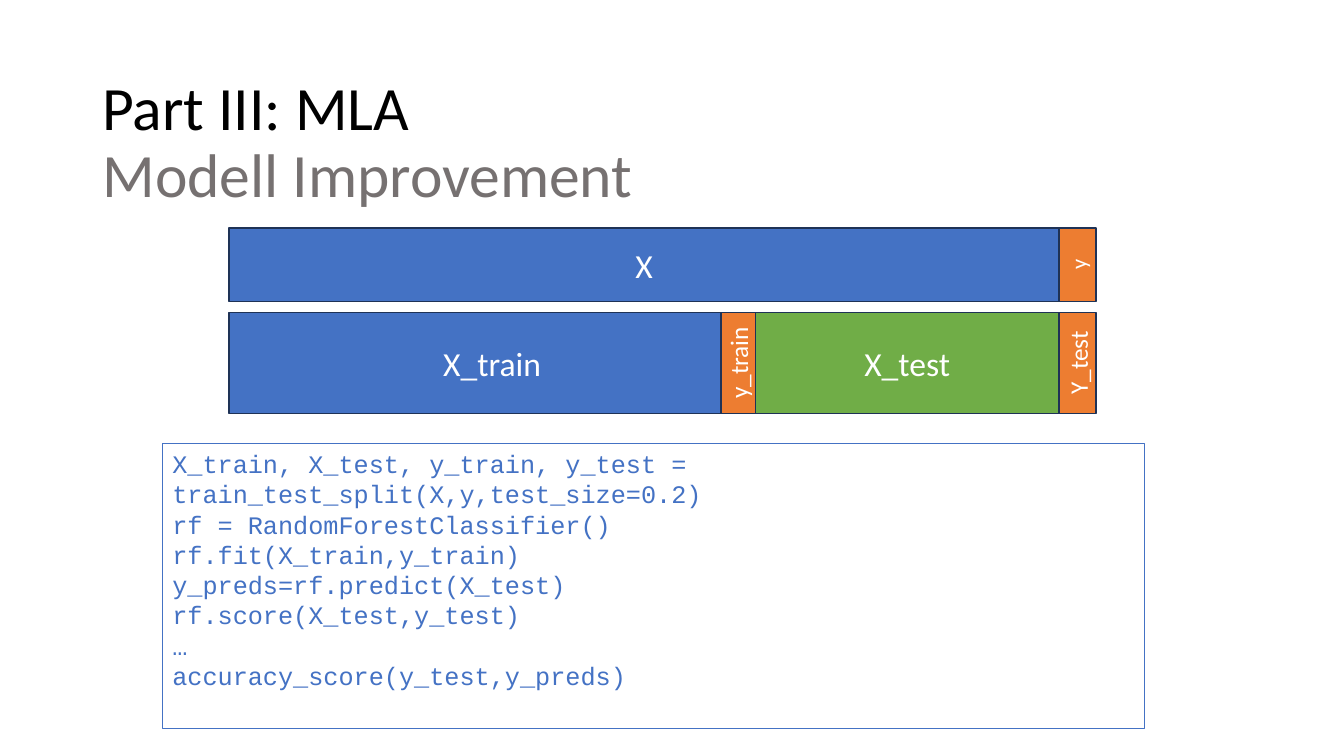
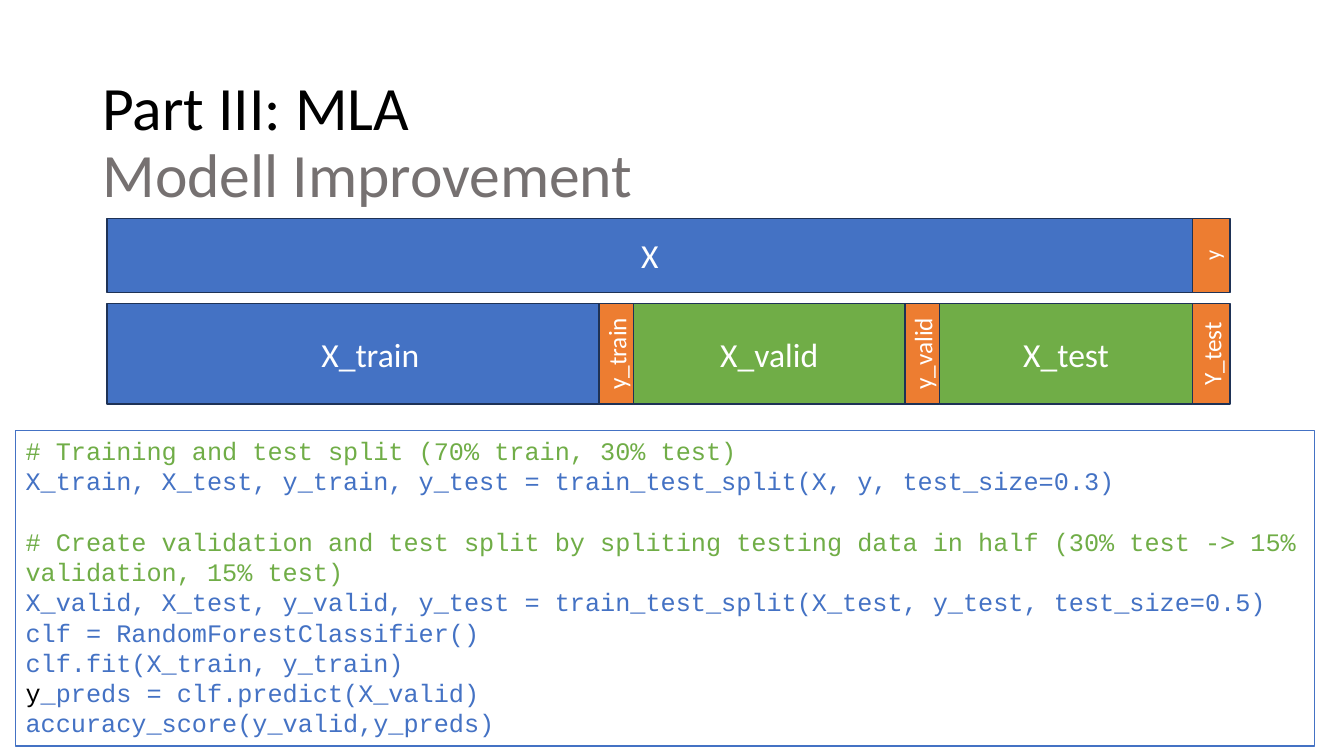
"""Build two slides on splitting data and scoring a classifier."""
from dataclasses import dataclass

from pptx import Presentation
from pptx.dml.color import RGBColor
from pptx.enum.shapes import MSO_SHAPE as Preset
from pptx.enum.text import MSO_ANCHOR as Anchor, MSO_AUTO_SIZE as AutoSize, PP_ALIGN as Align
from pptx.util import Pt

COLORS = {
    "black": "000000",
    "white": "FFFFFF",
    "gray": "767171",
    "blue": "4472C4",
    "green": "70AD47",
    "orange": "ED7D31",
    "outline": "1E3256",
}
TEXT_FONT, CODE_FONT = "Calibri", "Courier New"
TITLE_RUNS = (("Part III: MLA", "black"), ("Modell Improvement", "gray"))
DATA_HEIGHT, SPLIT_HEIGHT, ROW_STEP = 52.6, 72, 60.5
TRAIN_WIDTH, LABEL_WIDTH, LAST_WIDTH = 376, 24.5, 26.5
CODE_LINE = 21.6


@dataclass(frozen=True)
class Frame:
    left: float
    top: float
    width: float
    height: float


@dataclass(frozen=True)
class Block:
    name: str
    width: float
    fill: str
    size: float = 24
    overlap: float = 0

    @property
    def upright(self) -> bool:
        return self.fill == "orange"


@dataclass(frozen=True)
class CodeLine:
    runs: tuple[tuple[str, str], ...]
    gap: float = 0


@dataclass(frozen=True)
class SplitPage:
    left: float
    top: float
    blocks: tuple[Block, ...]
    code_frame: Frame
    lines: tuple[CodeLine, ...]


def code(text: str, color: str = "blue", gap: float = 0) -> CodeLine:
    """Make a code line of one color."""
    return CodeLine(((text, color),), gap)


TRAIN = Block("X_train", TRAIN_WIDTH, "blue")
TRAIN_LABEL = Block("y_train", LABEL_WIDTH, "orange", 18, overlap=LABEL_WIDTH)
TEST_LABEL = Block("Y_test", LAST_WIDTH, "orange", 18)

PAGES = (
    SplitPage(
        163.5, 162.8,
        (TRAIN, TRAIN_LABEL, Block("X_test", 217, "green"), TEST_LABEL),
        Frame(116, 316.8, 701.3, 203.6),
        (
            code("X_train, X_test, y_train, y_test = train_test_split(X,y,test_size=0.2)"),
            code("rf = RandomForestClassifier()"),
            code("rf.fit(X_train,y_train)"),
            code("y_preds=rf.predict(X_test)"),
            code("rf.score(X_test,y_test)"),
            code("…"),
            code("accuracy_score(y_test,y_preds)"),
        ),
    ),
    SplitPage(
        76.5, 156.2,
        (
            TRAIN,
            TRAIN_LABEL,
            Block("X_valid", 194, "green"),
            Block("y_valid", LABEL_WIDTH, "orange", 18),
            Block("X_test", 181, "green"),
            TEST_LABEL,
        ),
        Frame(11.2, 307.5, 927.7, 225.4),
        (
            code("# Training and test split (70% train, 30% test)", "green"),
            code("X_train, X_test, y_train, y_test = train_test_split(X, y, test_size=0.3)"),
            code("# Create validation and test split by spliting testing data in half "
                 "(30% test -> 15% validation, 15% test)", "green", CODE_LINE),
            code("X_valid, X_test, y_valid, y_test = "
                 "train_test_split(X_test, y_test, test_size=0.5)"),
            code("clf = RandomForestClassifier()"),
            code("clf.fit(X_train, y_train)"),
            CodeLine((("y", "black"), ("_preds = clf.predict(X_valid)", "blue"))),
            code("accuracy_score(y_valid,y_preds)"),
        ),
    ),
)


def rgb(color: str) -> RGBColor:
    """Look up a named color."""
    return RGBColor.from_string(COLORS[color])


def add_span(para, text: str, size: float, color: str, font: str = TEXT_FONT) -> None:
    """Append one formatted run."""
    span = para.add_run()
    span.text = text
    span.font.name = font
    span.font.size = Pt(size)
    span.font.color.rgb = rgb(color)


def place(shape, frame: Frame) -> None:
    """Move and size a shape."""
    shape.left, shape.top = Pt(frame.left), Pt(frame.top)
    shape.width, shape.height = Pt(frame.width), Pt(frame.height)


def add_box(page, frame: Frame, fill: str, line: str, weight: float):
    """Draw a plain rectangle."""
    box = page.shapes.add_shape(Preset.RECTANGLE, 0, 0, 0, 0)
    place(box, frame)
    box.shadow.inherit = False
    box.fill.solid()
    box.fill.fore_color.rgb = rgb(fill)
    box.line.color.rgb = rgb(line)
    box.line.width = Pt(weight)
    return box


def add_title(page) -> None:
    """Fill the title placeholder with its two lines."""
    title = page.shapes.title
    place(title, Frame(66, 28.8, 828, 148.3))
    text = title.text_frame
    text.word_wrap = True
    text.auto_size = AutoSize.NONE
    text.vertical_anchor = Anchor.MIDDLE
    para = text.paragraphs[0]
    para.alignment = Align.LEFT
    para.line_spacing = 0.9
    for index, (words, color) in enumerate(TITLE_RUNS):
        if index:
            para.add_line_break()
        add_span(para, words, 44, color)


def add_row(page, left: float, top: float, height: float, blocks: tuple[Block, ...]) -> None:
    """Draw blocks side by side, each pulled back by its overlap."""
    for block in blocks:
        left -= block.overlap
        box = add_box(page, Frame(left, top, block.width, height), block.fill, "outline", 1)
        text = box.text_frame
        text.vertical_anchor = Anchor.MIDDLE
        if block.upright:
            text._txBody.bodyPr.set("vert", "vert270")
        para = text.paragraphs[0]
        para.alignment = Align.CENTER
        add_span(para, block.name, block.size, "white")
        left += block.width


def add_code(page, frame: Frame, lines: tuple[CodeLine, ...]) -> None:
    """Draw the framed code listing."""
    text = add_box(page, frame, "white", "blue", 0.75).text_frame
    text.word_wrap = True
    text.vertical_anchor = Anchor.TOP
    for index, line in enumerate(lines):
        para = text.add_paragraph() if index else text.paragraphs[0]
        para.alignment = Align.LEFT
        para.line_spacing = Pt(CODE_LINE)
        para.space_before = Pt(line.gap)
        for words, color in line.runs:
            add_span(para, words, 18, color, CODE_FONT)


def add_page(deck, content: SplitPage) -> None:
    """Add one slide with title, data rows and code."""
    page = deck.slides.add_slide(deck.slide_layouts[5])
    add_title(page)
    total = sum(block.width - block.overlap for block in content.blocks)
    data = (
        Block("X", total - LAST_WIDTH, "blue"),
        Block("y", LAST_WIDTH, "orange", 16),
    )
    add_row(page, content.left, content.top, DATA_HEIGHT, data)
    add_row(page, content.left, content.top + ROW_STEP, SPLIT_HEIGHT, content.blocks)
    add_code(page, content.code_frame, content.lines)


def main() -> None:
    """Build and save the deck."""
    deck = Presentation()
    deck.slide_width, deck.slide_height = Pt(960), Pt(540)
    for content in PAGES:
        add_page(deck, content)
    deck.save("out.pptx")


if __name__ == "__main__":
    main()
